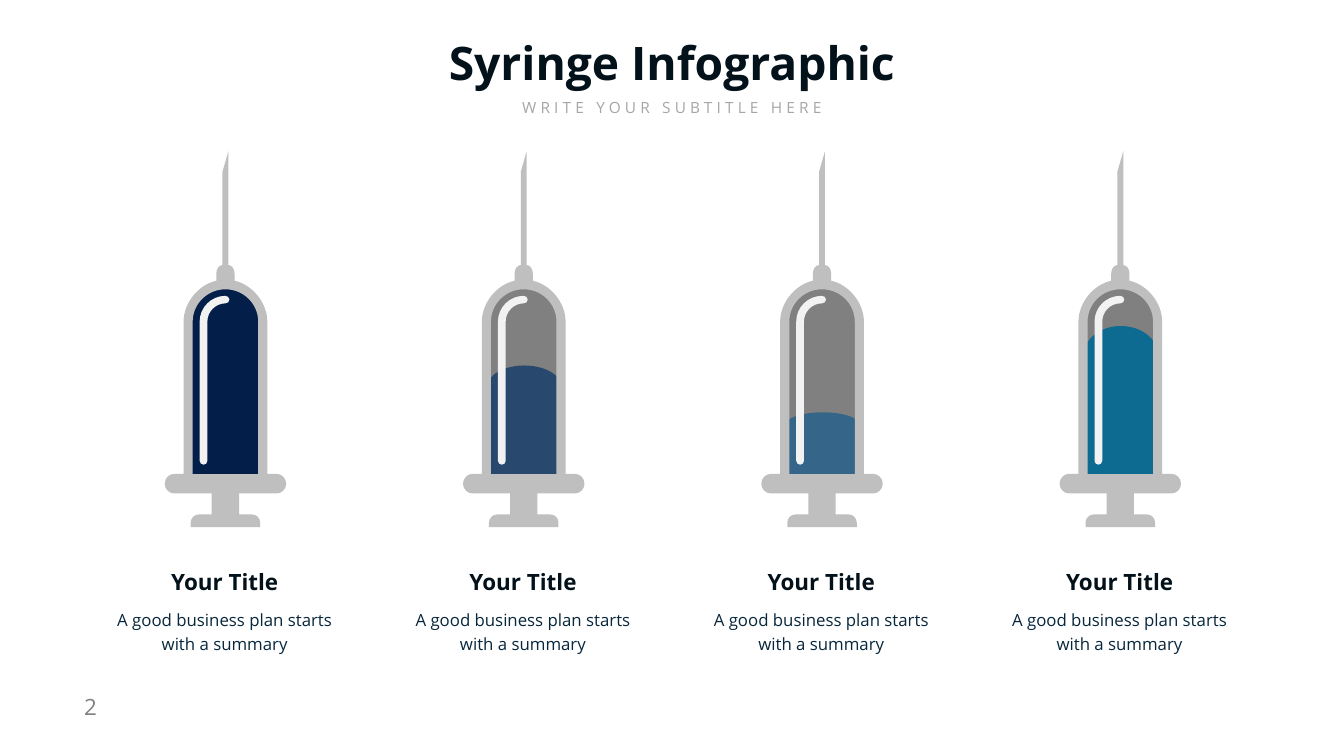
"""Build a slide with four syringes filled to different levels."""
import itertools
import lxml.etree
import pptx
import pptx.util
import pptx.dml.color
import pptx.enum.text
import pptx.oxml.ns

Cm, Pt, qn = pptx.util.Cm, pptx.util.Pt, pptx.oxml.ns.qn
FONT = "Open Sans"
INK, GREY, STEEL, SHINE = "03121A", "808080", "BFBFBF", "F2F2F2"
BODY = "A good business plan starts with a summary"
ITEMS = [
    {"back": INK, "fill": "021E49", "top": 14.33, "edge": 16.21},
    {"back": GREY, "fill": "29486D", "top": 18.42, "edge": 19.51},
    {"back": GREY, "fill": "356689", "top": 20.78, "edge": 21.41},
    {"back": GREY, "fill": "0D6A90", "top": 16.43, "edge": 17.91},
]
FIRST, STEP, BEND = 11.36, 15.03, 0.55

# Two numbers make a line; four make an arc: end point, then corner.
SIDE = [(0.15, 13.36), (0.46, 13.79, 0.46, 13.36), (0.46, 14.15),
        (2.11, 16.21, 2.11, 14.51), (2.11, 23.88), (2.57, 23.88),
        (3.06, 24.38, 3.06, 23.88), (2.57, 24.87, 3.06, 24.87),
        (0.69, 24.87), (0.69, 25.93), (1.35, 25.93),
        (1.75, 26.34, 1.75, 25.93), (1.75, 26.57)]
GLARE = [(-1.1, 23.42), (-1.3, 23.22, -1.3, 23.42), (-1.3, 16.21),
         (0, 14.91, -1.3, 14.91), (0.2, 15.1, 0.2, 14.91),
         (0, 15.29, 0.2, 15.29), (-0.91, 16.21, -0.91, 15.29),
         (-0.91, 23.22), (-1.1, 23.42, -0.91, 23.42)]


def rgb(code):
    return pptx.dml.color.RGBColor.from_string(code)


def flip(nums):
    return tuple(-n if i % 2 == 0 else n for i, n in enumerate(nums))


def mirror(half):
    pairs = reversed(list(itertools.pairwise(half)))
    back = [flip(a[:2] + b[2:]) for a, b in pairs]
    return half + [flip(half[-1][:2])] + back


def dome(half, top, edge, base):
    return mirror([(0, top), (half, edge, half, top), (half, base)])


def curve(line, corner):
    def blend(dot):
        return [round(d + BEND * (k - d)) for d, k in zip(dot, corner)]

    start, end = ([int(pt.get(n)) for n in "xy"]
                  for pt in (line.getprevious()[-1], line[0]))
    line.tag = qn("a:cubicBezTo")
    for spot, (x, y) in enumerate((blend(start), blend(end))):
        pt = lxml.etree.Element(qn("a:pt"), x=str(x), y=str(y))
        line.insert(spot, pt)


def draw(group, mid, color, *rings):
    build = None
    for ring in rings:
        dots = [(Cm(mid + p[0]), Cm(p[1])) for p in ring]
        if build is None:
            build = group.shapes.build_freeform(*dots[0], scale=1.0)
        else:
            build.move_to(*dots[0])
        build.add_line_segments(dots[1:], close=False)
        build.add_line_segments([], close=True)
    shape = build.convert_to_shape()
    left, top = shape.left, shape.top
    steps = [p for ring in rings for p in ring[1:]]
    lines = list(shape._element.iter(qn("a:lnTo")))
    for line, (_, _, *turn) in zip(lines, steps):
        if turn:
            curve(line, (Cm(mid + turn[0]) - left, Cm(turn[1]) - top))
    shape.shadow.inherit = False
    shape.fill.solid()
    shape.fill.fore_color.rgb = rgb(color)
    shape.line.fill.background()


def write(text, box, size, color, bold=False, wrap=False, align="CENTER", gap=0):
    shape = slide.shapes.add_textbox(*map(Cm, box))
    frame = shape.text_frame
    frame.word_wrap = wrap
    frame.auto_size = pptx.enum.text.MSO_AUTO_SIZE.SHAPE_TO_FIT_TEXT
    para = frame.paragraphs[0]
    run = para.add_run()
    run.text = text
    para.alignment = getattr(pptx.enum.text.PP_ALIGN, align)
    font = para.font
    font.name, font.size, font.bold = FONT, Pt(size), bold
    font.color.rgb = rgb(color)
    if gap:
        run._r.get_or_add_rPr().set("spc", str(gap * 100))
    return frame


deck = pptx.Presentation()
deck.slide_width, deck.slide_height = Cm(67.72), Cm(38.1)
slide = deck.slides.add_slide(deck.slide_layouts[6])

write("2", (3.99, 34.8, 2.16, 1.63), 32, GREY, wrap=True, align="LEFT", gap=3)
write("Syringe Infographic", (22.25, 1.63, 23.22, 3.07), 66, INK, bold=True)
write("WRITE YOUR SUBTITLE HERE", (26.01, 4.83, 15.7, 1.19), 22, "A6A6A6", gap=6)

shell = [(0.15, 7.62)] + mirror(SIDE) + [(-0.15, 8.66)]
for i, item in enumerate(ITEMS):
    mid = FIRST + i * STEP
    group = slide.shapes.add_group_shape()
    draw(group, mid, item["back"], dome(1.88, 14.33, 16.21, 23.98))
    draw(group, mid + 0.03, item["fill"], dome(1.88, item["top"], item["edge"], 24))
    draw(group, mid, SHINE, GLARE)
    draw(group, mid, STEEL, shell, dome(1.65, 14.58, 16.21, 23.9))

    head = write("Your Title", (mid - 3.02, 28.47, 5.97, 1.63), 32, INK, bold=True)
    head.vertical_anchor = pptx.enum.text.MSO_ANCHOR.MIDDLE
    note = write(BODY, (mid - 6.76, 30.2, 13.44, 3), 24, "08273C", wrap=True)
    note.margin_left = note.margin_right = Cm(0.61)
    note.margin_top = note.margin_bottom = Cm(0.3)
    note.paragraphs[0].line_spacing = Pt(35)
    note.paragraphs[0].space_before = Pt(4.8)

deck.save("out.pptx")
